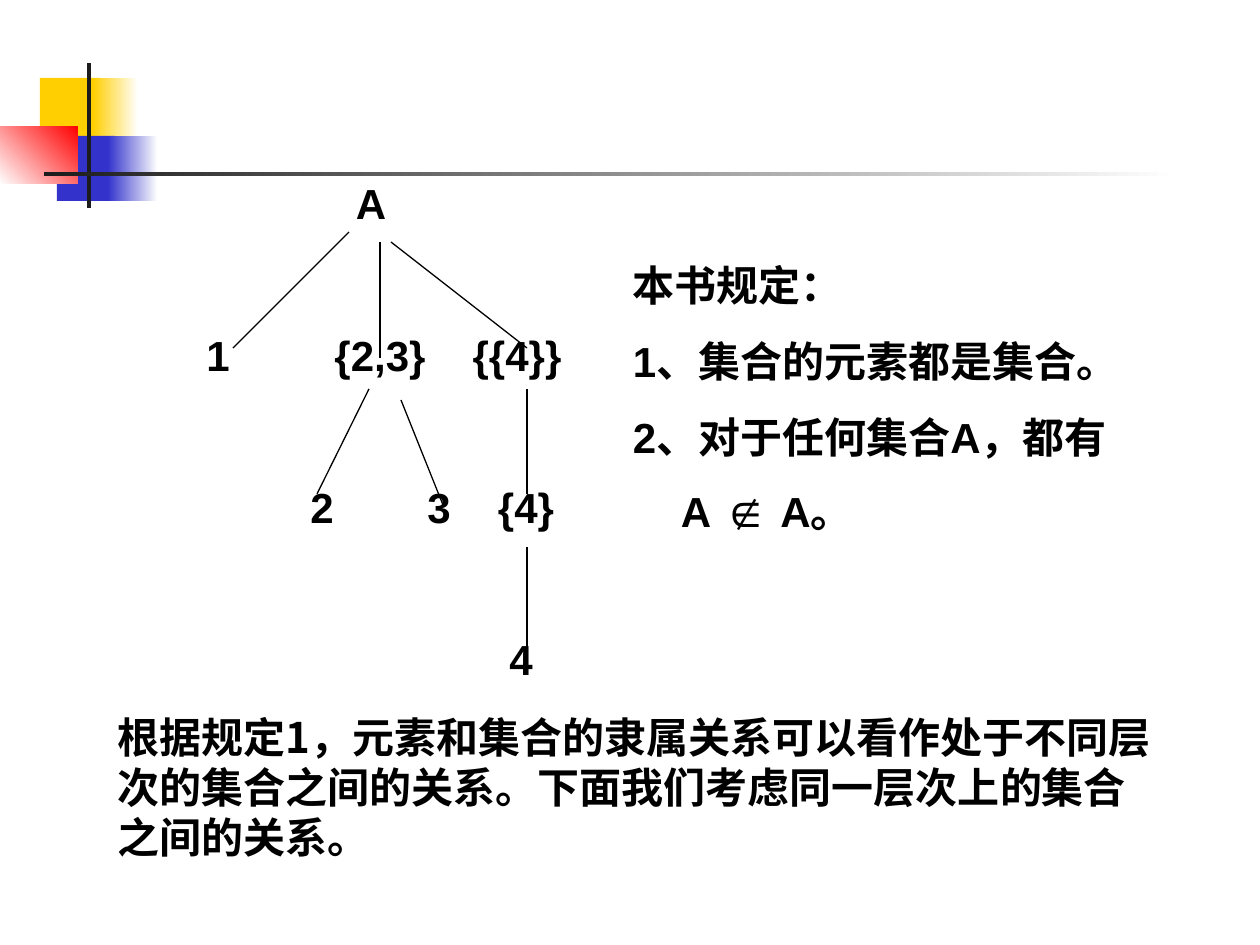
import dataclasses

import lxml.etree
import pptx
import pptx.dml.color
import pptx.enum.shapes
import pptx.enum.text
import pptx.oxml.ns
import pptx.util

PX = 914400 // 126


@dataclasses.dataclass(frozen=True)
class Theme:
    ink: str = "000000"
    rule: str = "1C1C1C"
    paper: str = "FFFFFF"
    yellow: str = "FFCF01"
    blue: str = "3333CC"
    red: str = "FF0000"
    latin: str = "Arial"
    chinese: str = "Noto Sans CJK SC"
    body: int = 24
    symbol: int = 28
    branch: float = 0.75


THEME = Theme()


def px(length):
    return pptx.util.Emu(length * PX)


def rgb(colour):
    return pptx.dml.color.RGBColor.from_string(colour)


def add_child(parent, tag, **attributes):
    return lxml.etree.SubElement(parent, pptx.oxml.ns.qn(tag), attributes)


def add_text(slide, box, paragraphs, *, font=THEME.latin, pitch=50, after=0,
             top_inset=0, hanging=0, tabs=()):
    frame = slide.shapes.add_textbox(*map(px, box)).text_frame
    frame.word_wrap = True
    frame.auto_size = pptx.enum.text.MSO_AUTO_SIZE.NONE
    frame.margin_left = frame.margin_right = px(13)
    frame.margin_top, frame.margin_bottom = px(top_inset), px(6)
    for index, runs in enumerate(paragraphs):
        paragraph = frame.add_paragraph() if index else frame.paragraphs[0]
        paragraph.line_spacing = pptx.util.Pt(round(pitch * 72 / 126, 1))
        paragraph.space_before = pptx.util.Pt(0)
        paragraph.space_after = pptx.util.Pt(round(after * 72 / 126, 1))
        properties = paragraph._p.get_or_add_pPr()
        if hanging:
            properties.set("marL", str(px(hanging)))
            properties.set("indent", str(-px(hanging)))
        if tabs:
            stops = add_child(properties, "a:tabLst")
            for position in tabs[index]:
                add_child(stops, "a:tab", pos=str(px(position)), algn="ctr")
        for words, size in runs:
            run = paragraph.add_run()
            run.text = words
            run.font.size = pptx.util.Pt(size)
            run.font.bold = True
            run.font.name = font
            run.font.color.rgb = rgb(THEME.ink)
            add_child(run._r.get_or_add_rPr(), "a:ea", typeface=THEME.chinese)


def add_block(slide, box, start, end=None, angle=0):
    block = slide.shapes.add_shape(
        pptx.enum.shapes.MSO_SHAPE.RECTANGLE, *map(px, box))
    block.shadow.inherit = False
    block.line.fill.background()
    if end is None:
        block.fill.solid()
        block.fill.fore_color.rgb = rgb(start)
        return
    block.fill.gradient()
    block.fill.gradient_angle = angle
    for stop, colour in zip(block.fill.gradient_stops, (start, end)):
        stop.color.rgb = rgb(colour)


def add_branch(slide, start, end):
    branch = slide.shapes.add_connector(
        pptx.enum.shapes.MSO_CONNECTOR.STRAIGHT, *map(px, start + end))
    branch.line.color.rgb = rgb(THEME.ink)
    branch.line.width = pptx.util.Pt(THEME.branch)
    add_child(branch._element.spPr, "a:effectLst")


def draw_ornament(slide, box):
    left, top, width, height = box
    blocks = [
        ((40, 15, 60, 65), THEME.yellow),
        ((93, 15, 45, 65), THEME.yellow, THEME.paper),
        ((57, 73, 58, 65), THEME.blue),
        ((108, 73, 50, 65), THEME.blue, THEME.paper),
        ((0, 63, 78, 58), THEME.paper, THEME.red, 45),
        ((87, 0, 4, height), THEME.rule),
        ((44, 109, width - 44, 4), THEME.rule, THEME.paper),
    ]
    for (x, y, w, h), *colours in blocks:
        add_block(slide, (left + x, top + y, w, h), *colours)


def draw_set_tree(slide, box):
    left, top, _, _ = box
    line, row = 49, 152
    levels = [
        [("A", 304)],
        [("1", 151), ("{2,3}", 313), ("{{4}}", 450)],
        [("2", 255), ("3", 372), ("{4}", 459)],
        [("4", 454)],
    ]
    rows = [[("".join("\t" + name for name, _ in level), THEME.body)]
            for level in levels]
    add_text(slide, box, rows, pitch=line, after=row - line, top_inset=83,
             tabs=[[centre for _, centre in level] for level in levels])
    branches = [
        ((295, 136), (179, 252)),
        ((326, 146), (326, 262)),
        ((337, 146), (473, 252)),
        ((315, 293), (263, 398)),
        ((347, 304), (389, 409)),
        ((473, 293), (473, 398)),
        ((473, 451), (473, 556)),
    ]
    for (x1, y1), (x2, y2) in branches:
        add_branch(slide, (left + x1, top + y1), (left + x2, top + y2))


def write_rules(slide, box):
    rules = [
        [("本书规定：", THEME.body)],
        [("1、集合的元素都是集合。", THEME.body)],
        [("2、对于任何集合A，都有 A ", THEME.body),
         ("∉", THEME.symbol), (" A。", THEME.body)],
    ]
    add_text(slide, box, rules, pitch=76, hanging=48)


def write_conclusion(slide, box):
    conclusion = ("根据规定1，元素和集合的隶属关系可以看作处于不同层次的集合之间的关系。"
                  "下面我们考虑同一层次上的集合之间的关系。")
    add_text(slide, box, [[(conclusion, THEME.body)]], font=THEME.chinese,
             top_inset=11)


def main():
    deck = pptx.Presentation()
    deck.slide_width, deck.slide_height = px(1260), px(945)
    slide = deck.slides.add_slide(deck.slide_layouts[6])
    draw_ornament(slide, (0, 63, 1178, 145))
    draw_set_tree(slide, (54, 96, 588, 608))
    write_rules(slide, (620, 234, 525, 364))
    write_conclusion(slide, (105, 701, 1072, 164))
    deck.save("out.pptx")


if __name__ == "__main__":
    main()
